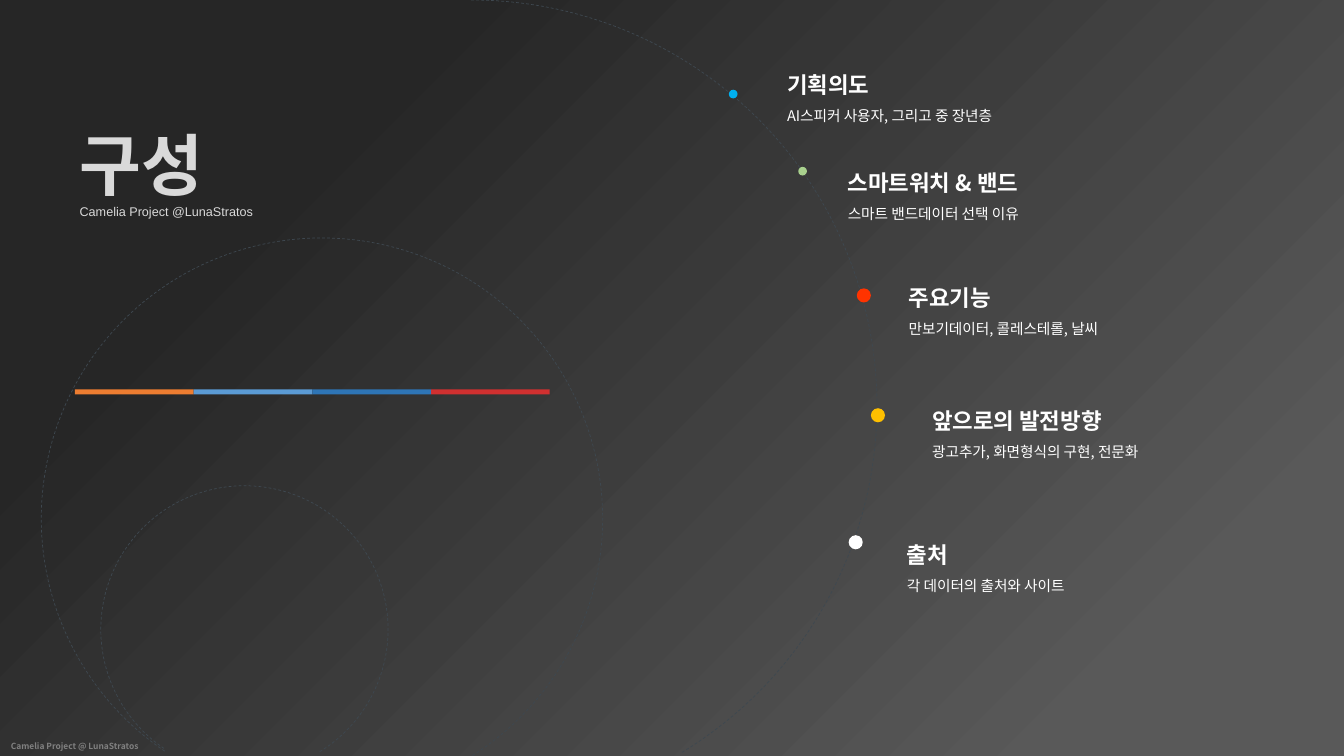
from dataclasses import dataclass

from lxml.etree import SubElement
from pptx import Presentation
from pptx.dml.color import RGBColor as Rgb
from pptx.enum.dml import MSO_LINE as Dash
from pptx.enum.shapes import MSO_SHAPE as Kind
from pptx.enum.text import MSO_ANCHOR as Anchor, MSO_AUTO_SIZE as Fit, PP_ALIGN as Align
from pptx.oxml.ns import qn
from pptx.util import Pt


@dataclass(frozen=True)
class Theme:
    sans: str = "Noto Sans CJK KR"
    latin: str = "Arial"
    base: str = "21262A"
    light: str = "595959"
    dark: str = "262626"
    ring: str = "3E4850"
    title: str = "D9D9D9"
    text: str = "FFFFFF"
    foot: str = "808080"
    bars: tuple = ("ED7D31", "5B9BD5", "2E75B6", "D03030")
    big: float = 48
    head: float = 16
    body: float = 10.5
    sub: float = 9
    tiny: float = 6


@dataclass(frozen=True)
class Ring:
    left: float
    top: float
    size: float
    start: float


@dataclass(frozen=True)
class Dot:
    left: float
    top: float
    size: float
    color: str


@dataclass(frozen=True)
class Topic:
    left: float
    top: float
    width: float
    head: str
    body: str


@dataclass(frozen=True)
class Line:
    text: str
    size: float
    color: str
    font: str
    bold: bool = False


THEME = Theme()
WIDE, HIGH = 960, 540
RING_END = 35.32
RINGS = (
    Ring(29.5, 170, 401, 74.44),
    Ring(46.8, 0, 579.6, 162),
    Ring(72, 347, 205.2, 74.44),
)
DOTS = (
    Dot(622.1, 291.6, 10.1, "FFC000"),
    Dot(606.2, 382.3, 10.1, "FFFFFF"),
    Dot(612, 206, 10.1, "FF3300"),
    Dot(570.2, 119.2, 6.2, "A9D18E"),
    Dot(520.6, 64.1, 6.2, "00B0F0"),
)
TOPICS = (
    Topic(555.1, 37.4, 229.7, "기획의도", "AI스피커 사용자, 그리고 중 장년층"),
    Topic(598.5, 107.8, 229.7, "스마트워치 & 밴드", "스마트 밴드데이터 선택 이유"),
    Topic(642, 189.6, 229.7, "주요기능", "만보기데이터, 콜레스테롤, 날씨"),
    Topic(658.8, 278, 213, "앞으로의 발전방향", "광고추가, 화면형식의 구현, 전문화"),
    Topic(640.8, 373.4, 216, "출처", "각 데이터의 출처와 사이트"),
)


def add_form(shapes, kind, left, top, width, height):
    """Add a preset shape without shadow or outline."""
    form = shapes.add_shape(kind, Pt(left), Pt(top), Pt(width), Pt(height))
    form.shadow.inherit = False
    form.line.fill.background()
    return form


def paint(form, color: str) -> None:
    form.fill.solid()
    form.fill.fore_color.rgb = Rgb.from_string(color)


def add_back(slide) -> None:
    fill = slide.background.fill
    fill.solid()
    fill.fore_color.rgb = Rgb.from_string(THEME.base)
    back = add_form(slide.shapes, Kind.RECTANGLE, 0, 0, WIDE, HIGH)
    back.fill.gradient()
    back.fill.gradient_angle = 135
    stops = ((0.14, THEME.light), (0.78, THEME.dark))
    for stop, (place, color) in zip(back.fill.gradient_stops, stops):
        stop.position = place
        stop.color.rgb = Rgb.from_string(color)


def add_ring(shapes, ring: Ring) -> None:
    arc = add_form(shapes, Kind.ARC, ring.left, ring.top, ring.size, ring.size)
    arc.adjustments[0] = ring.start
    arc.adjustments[1] = RING_END
    arc.fill.background()
    arc.line.color.rgb = Rgb.from_string(THEME.ring)
    arc.line.width = Pt(0.5)
    arc.line.dash_style = Dash.DASH


def add_dot(shapes, dot: Dot) -> None:
    paint(add_form(shapes, Kind.OVAL, dot.left, dot.top, dot.size, dot.size), dot.color)


def add_bars(shapes) -> None:
    left, top, width, height = 53.5, 278.2, 84.8, 3.6
    for i, color in enumerate(THEME.bars):
        bar = add_form(shapes, Kind.RECTANGLE, left + i * width, top, width, height)
        paint(bar, color)


def write(frame, lines: tuple[Line, ...], gap: float) -> None:
    frame.word_wrap = True
    frame.auto_size = Fit.SHAPE_TO_FIT_TEXT
    frame.vertical_anchor = Anchor.TOP
    for i, line in enumerate(lines):
        para = frame.add_paragraph() if i else frame.paragraphs[0]
        para.alignment = Align.LEFT
        para.line_spacing = gap
        run = para.add_run()
        run.text = line.text
        font = run.font
        font.size = Pt(line.size)
        font.bold = line.bold
        font.color.rgb = Rgb.from_string(line.color)
        font.name = line.font
        SubElement(run._r.get_or_add_rPr(), qn("a:ea"), typeface=line.font)


def add_text(shapes, left: float, top: float, width: float, height: float,
             *lines: Line) -> None:
    box = shapes.add_textbox(Pt(left), Pt(top), Pt(width), Pt(height))
    write(box.text_frame, lines, 1.5)


def add_topic(shapes, topic: Topic) -> None:
    add_text(shapes, topic.left, topic.top, topic.width, 55.4,
             Line(topic.head, THEME.head, THEME.text, THEME.sans, True),
             Line(topic.body, THEME.body, THEME.text, THEME.sans))


def set_title(shapes) -> None:
    """Fill the title and lift it above the backdrop."""
    title = shapes.title
    title.left, title.top = Pt(49.7), Pt(84.2)
    title.width, title.height = Pt(387.4), Pt(76.3)
    write(title.text_frame, (
        Line("구성", THEME.big, THEME.title, THEME.sans, True),
        Line("Camelia Project @LunaStratos", THEME.sub, THEME.title, THEME.latin),
    ), 1.0)
    shapes.element.append(title.element)


def main() -> None:
    deck = Presentation()
    deck.slide_width, deck.slide_height = Pt(WIDE), Pt(HIGH)
    slide = deck.slides.add_slide(deck.slide_layouts[5])
    shapes = slide.shapes
    add_back(slide)
    orbit = shapes.add_group_shape().shapes
    for ring in RINGS:
        add_ring(orbit, ring)
    for dot in DOTS:
        add_dot(orbit, dot)
    set_title(shapes)
    for topic in TOPICS:
        add_topic(shapes, topic)
    add_text(shapes, 0.7, 522, 134.6, 18,
             Line("Camelia Project @ LunaStratos", THEME.tiny, THEME.foot, THEME.sans, True))
    add_bars(shapes.add_group_shape().shapes)
    deck.save("out.pptx")


if __name__ == "__main__":
    main()
